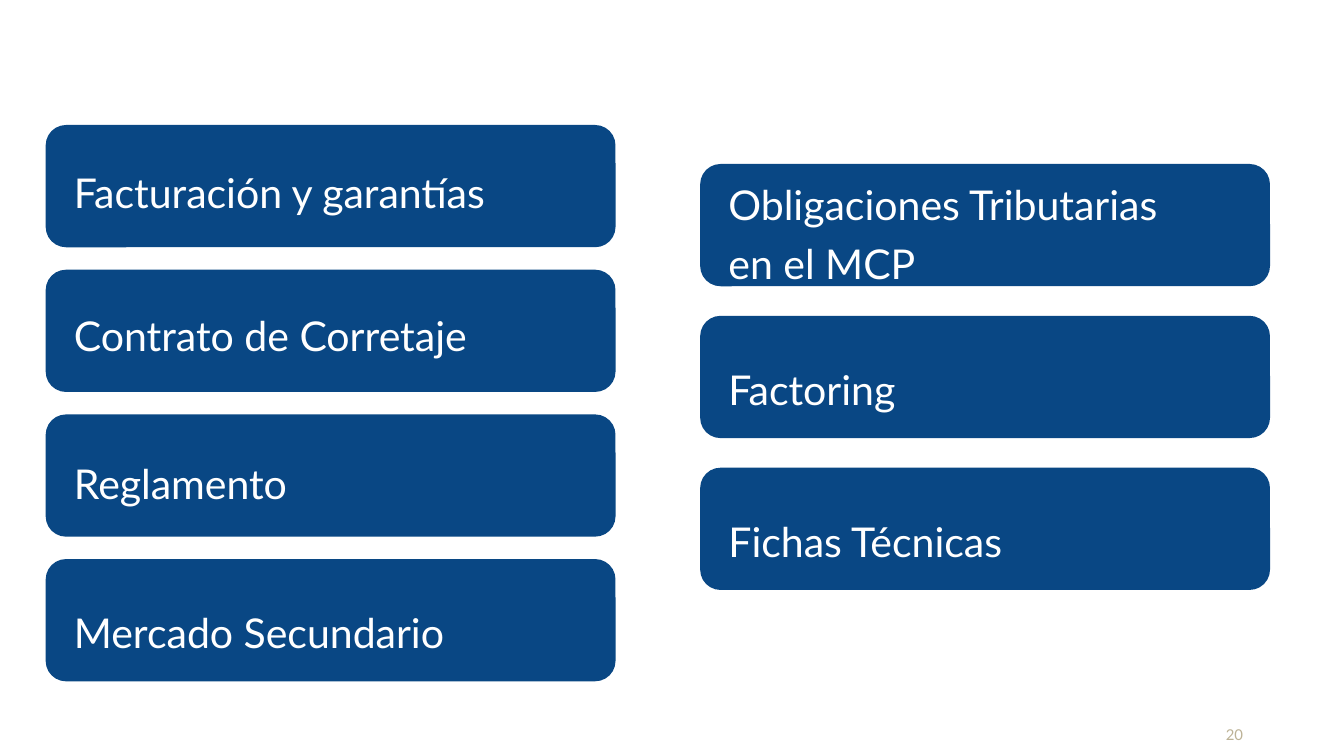
from dataclasses import dataclass

from pptx import Presentation
from pptx import util as u
from pptx.dml.color import RGBColor
from pptx.enum import shapes, text


@dataclass(frozen=True)
class Theme:
    """Colours, typeface and type sizes."""
    card: RGBColor = RGBColor(0x09, 0x47, 0x84)
    label: RGBColor = RGBColor(0xFF, 0xFF, 0xFF)
    number: RGBColor = RGBColor(0xBC, 0xB2, 0x96)
    font: str = "Lato"
    label_size: int = 22
    number_size: int = 8


@dataclass(frozen=True)
class Topic:
    """A card's wording and where its label sits, in inches."""
    wording: str
    label_top: float
    width: float = 4.15
    height: float = 0.44


@dataclass(frozen=True)
class Column:
    """A stack of cards spaced evenly from first to last, in inches."""
    left: float
    first_top: float
    last_top: float
    topics: tuple[Topic, ...]


THEME = Theme()
CARD_WIDTH, CARD_HEIGHT, LABEL_INDENT = 4.24, 0.91, 0.21
COLUMNS = (
    Column(0.34, 0.93, 4.16, (
        Topic("Facturación y garantías", 1.17),
        Topic("Contrato de Corretaje", 2.24),
        Topic("Reglamento", 3.34),
        Topic("Mercado Secundario", 4.45),
    )),
    Column(5.21, 1.22, 3.48, (
        Topic("Obligaciones Tributarias en el MCP", 1.26, 3.56, 0.89),
        Topic("Factoring", 2.64),
        Topic("Fichas Técnicas", 3.77),
    )),
)


def add_text(page, wording: str, left: float, top: float, width: float,
             height: float, size: int, color: RGBColor):
    """Add a wrapped text box without margins and return it."""
    box = page.shapes.add_textbox(
        u.Inches(left), u.Inches(top), u.Inches(width), u.Inches(height))
    frame = box.text_frame
    frame.word_wrap = True
    frame.auto_size = text.MSO_AUTO_SIZE.SHAPE_TO_FIT_TEXT
    frame.margin_left = frame.margin_right = 0
    frame.margin_top = frame.margin_bottom = 0
    span = frame.paragraphs[0].add_run()
    span.text = wording
    span.font.name = THEME.font
    span.font.size = u.Pt(size)
    span.font.color.rgb = color
    return box


def add_card(page, left: float, top: float) -> None:
    """Add one plain rounded card."""
    card = page.shapes.add_shape(
        shapes.MSO_SHAPE.ROUNDED_RECTANGLE, u.Inches(left), u.Inches(top),
        u.Inches(CARD_WIDTH), u.Inches(CARD_HEIGHT))
    card.shadow.inherit = False
    card.fill.solid()
    card.fill.fore_color.rgb = THEME.card
    card.line.fill.background()


def add_column(page, column: Column) -> None:
    """Add a column of cards with their labels."""
    pitch = (column.last_top - column.first_top) / (len(column.topics) - 1)
    for row, topic in enumerate(column.topics):
        add_card(page, column.left, column.first_top + row * pitch)
        label = add_text(page, topic.wording, column.left + LABEL_INDENT,
                         topic.label_top, topic.width, topic.height,
                         THEME.label_size, THEME.label)
        label.text_frame.paragraphs[0].line_spacing = 1.2


def add_page_number(page, number: str) -> None:
    """Add the page number at the lower right."""
    box = add_text(page, number, 8.93, 5.4, 0.32, 0.13,
                   THEME.number_size, THEME.number)
    box.text_frame.vertical_anchor = text.MSO_ANCHOR.BOTTOM
    box.text_frame.paragraphs[0].alignment = text.PP_ALIGN.RIGHT


def main() -> None:
    """Build and save the slide."""
    deck = Presentation()
    deck.slide_width = u.Inches(10)
    deck.slide_height = u.Emu(deck.slide_width * 9 // 16)
    page = deck.slides.add_slide(deck.slide_layouts[6])
    add_page_number(page, "20")
    for column in COLUMNS:
        add_column(page, column)
    deck.save("out.pptx")


main()
